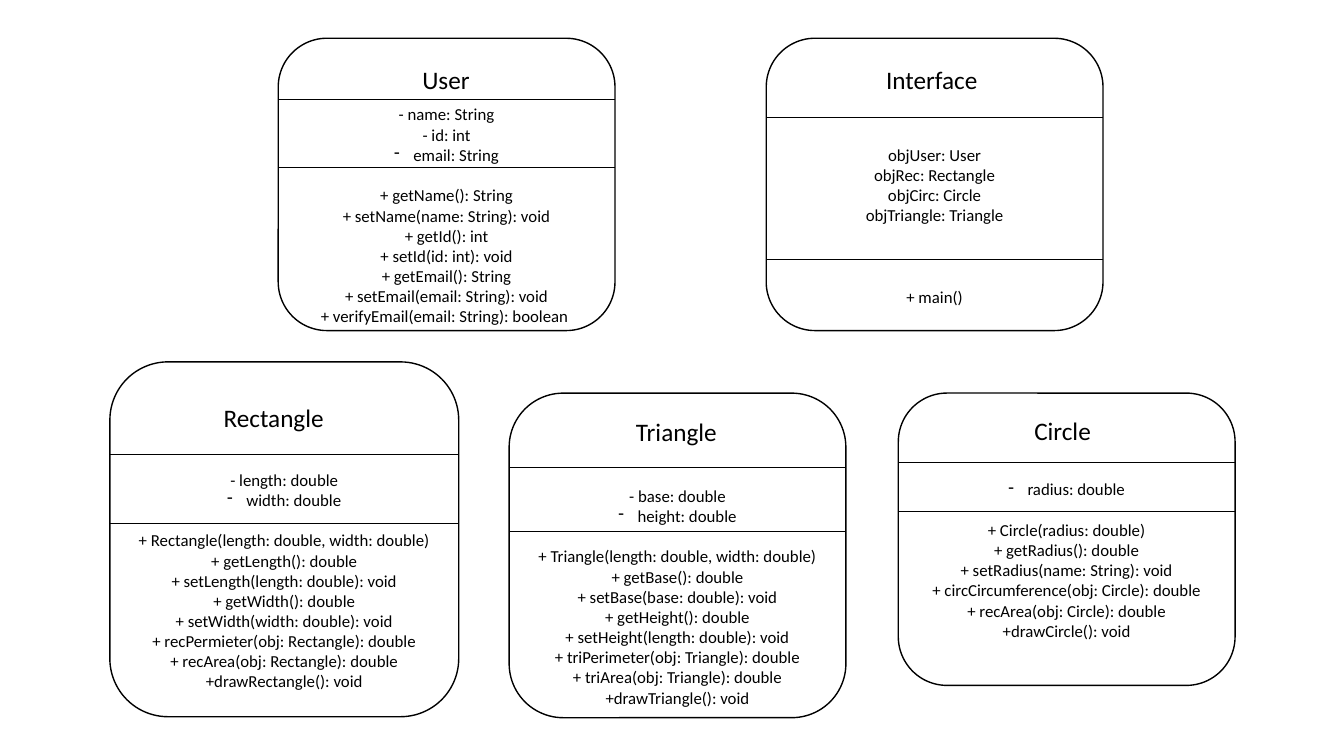
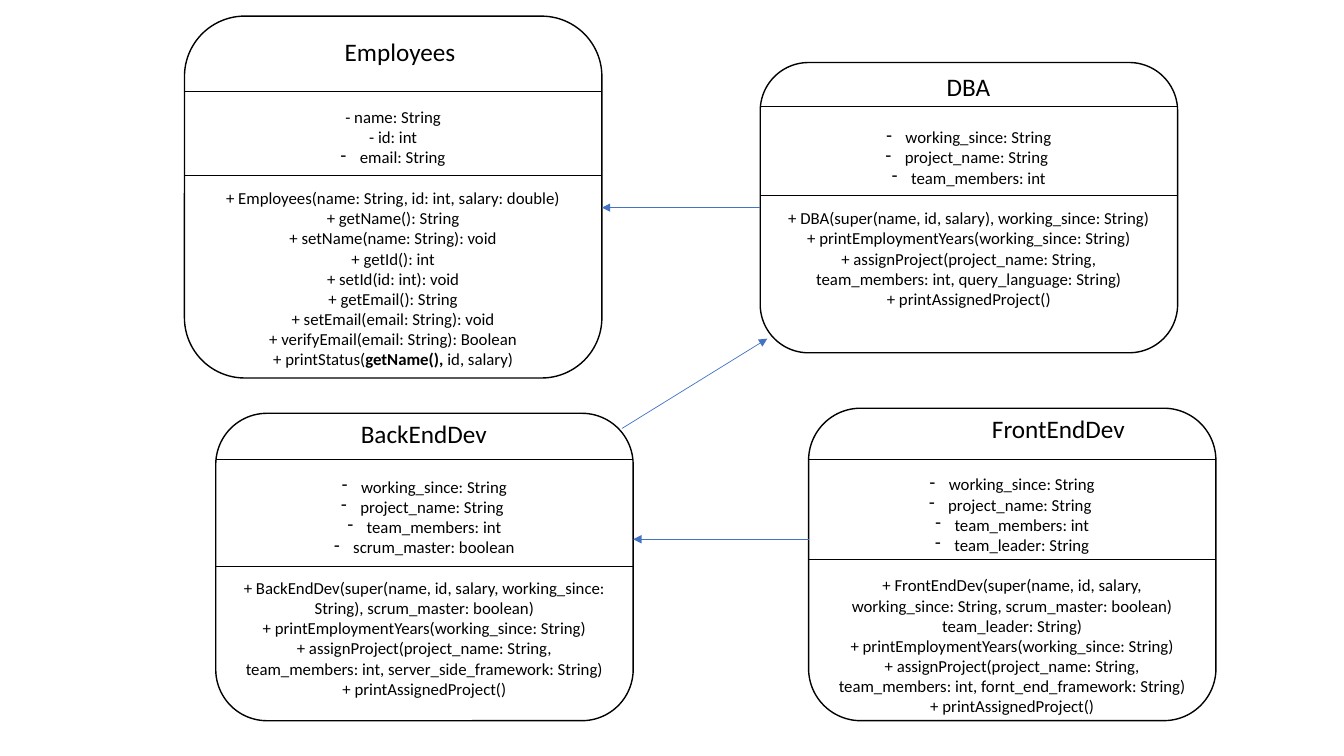
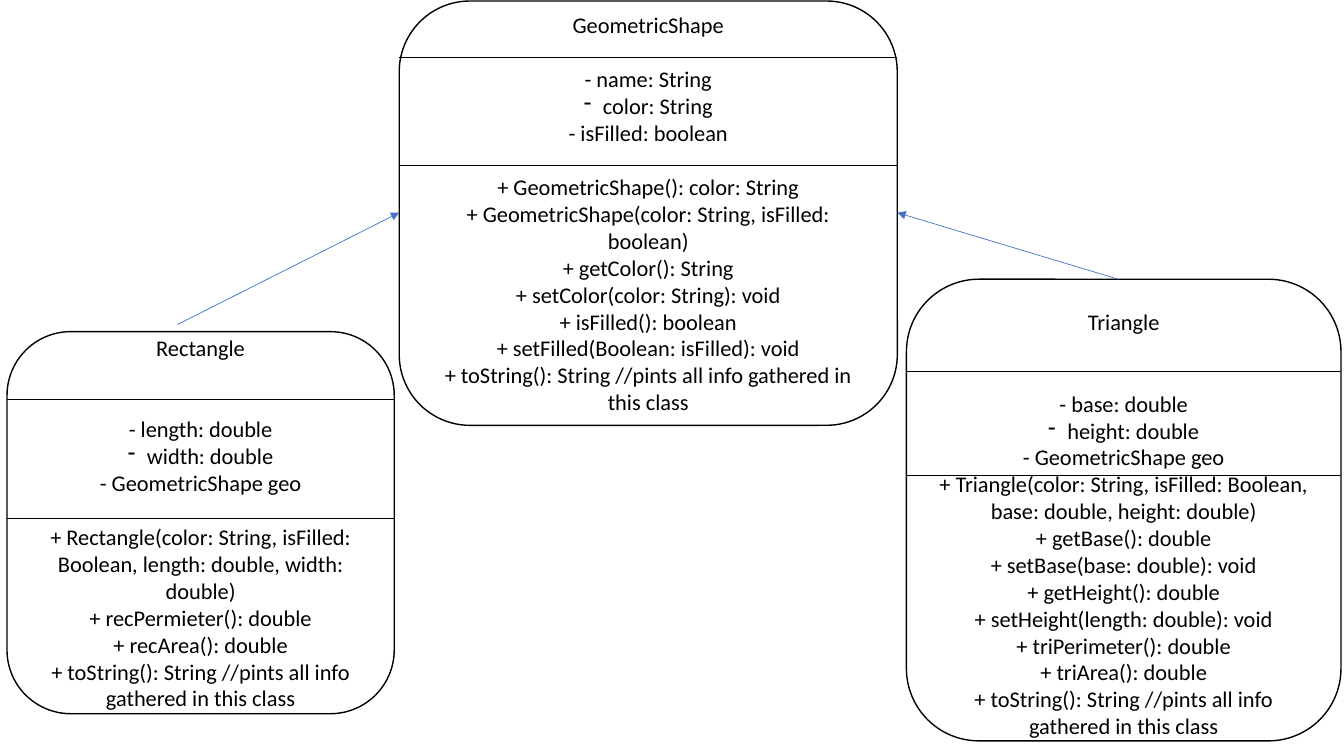
"""Builds three slides of UML class diagrams."""
from lxml import etree
from pptx import Presentation
from pptx.dml.color import RGBColor
from pptx.enum.shapes import MSO_CONNECTOR as Connector, MSO_SHAPE as Preset
from pptx.enum.text import MSO_ANCHOR as Anchor, PP_ALIGN as Align
from pptx.oxml.ns import qn
from pptx.util import Inches, Pt

LINE_HEIGHT = 1.22  # height of a text line relative to its font size
BULLET = "* "
BOLD = "**"


def color(value):
    """Return the colour for a hex string."""
    return RGBColor.from_string(value)


def add_text(para, text, size=12, align=Align.CENTER, before=0):
    """Fill a paragraph; BULLET starts a dash item and BOLD marks bold parts."""
    para.alignment = align
    para.space_before = Pt(before)
    if text.startswith(BULLET):
        text = text.removeprefix(BULLET)
        props = para._p.get_or_add_pPr()
        props.set("marL", str(Inches(0.19)))
        props.set("indent", str(-Inches(0.19)))
        etree.SubElement(props, qn("a:buFontTx"))
        etree.SubElement(props, qn("a:buChar"), char="-")
    for index, part in enumerate(text.split(BOLD)):
        span = para.add_run()
        span.text = part
        span.font.name = Diagram.FONT
        span.font.size = Pt(size)
        span.font.bold = index % 2 == 1
        span.font.color.rgb = color(Diagram.INK)


class Diagram:
    """Holds the shared style and the slide being drawn."""

    FONT = "Calibri"
    INK = "000000"
    ARROW = "4472C4"

    def __init__(self):
        """Start a widescreen deck."""
        self.deck = Presentation()
        self.deck.slide_width = Inches(13.33)
        self.deck.slide_height = Inches(7.5)
        self.page = None

    def new_page(self):
        """Add a blank slide and make it current."""
        self.page = self.deck.slides.add_slide(self.deck.slide_layouts[6])

    def line(self, start, end, ink=INK, arrow=False):
        """Draw a thin straight line, with an arrowhead at its end if asked."""
        ends = [Inches(value) for value in (*start, *end)]
        link = self.page.shapes.add_connector(Connector.STRAIGHT, *ends)
        link.line.color.rgb = color(ink)
        link.line.width = Pt(0.5)
        if arrow:
            etree.SubElement(link.line._get_or_add_ln(), qn("a:tailEnd"), type="triangle")
        etree.SubElement(link._element.spPr, qn("a:effectLst"))

    def arrow(self, start, end):
        """Draw an arrow between two classes."""
        self.line(start, end, ink=self.ARROW, arrow=True)

    def title(self, text, left, top, width, height=0.4):
        """Write a class name."""
        box = self.page.shapes.add_textbox(
            Inches(left), Inches(top), Inches(width), Inches(height))
        box.text_frame.word_wrap = True
        add_text(box.text_frame.paragraphs[0], text, size=18, align=Align.LEFT)

    def class_box(self, place, dividers, sections, gaps, below=0, size=12):
        """Draw a class; gaps and below count the free lines around sections."""
        left, top, width, height = place
        box = self.page.shapes.add_shape(
            Preset.ROUNDED_RECTANGLE, *[Inches(value) for value in place])
        box.shadow.inherit = False
        box.fill.background()
        box.line.color.rgb = color(self.INK)
        box.line.width = Pt(1)
        frame = box.text_frame
        frame.word_wrap = True
        frame.vertical_anchor = Anchor.MIDDLE
        step = size * LINE_HEIGHT
        frame.margin_top = Inches(0.05) + Pt(gaps[0] * step)
        frame.margin_bottom = Inches(0.05) + Pt(below * step)
        para = frame.paragraphs[0]
        for number, (section, gap) in enumerate(zip(sections, gaps)):
            for row, text in enumerate(section):
                first = number == row == 0
                if not first:
                    para = frame.add_paragraph()
                before = 0 if first or row else gap * step
                add_text(para, text, size=size, before=before)
        for level in dividers:
            self.line((left, level), (left + width, level))


def draw_shapes_app(diagram):
    """Draw the user, interface and shape classes."""
    diagram.new_page()
    diagram.class_box((2.76, 0.38, 3.34, 2.9), (0.99, 1.66), [
        ["- name: String", "- id: int", "* email: String"],
        ["+ getName(): String", "+ setName(name: String): void",
         "+ getId(): int", "+ setId(id: int): void",
         "+ getEmail(): String", "+ setEmail(email: String): void",
         "+ verifyEmail(email: String): boolean "],
    ], gaps=(3, 1))
    diagram.class_box((1.09, 3.59, 3.46, 3.52), (4.51, 5.19), [
        ["- length: double", "* width: double"],
        ["+ Rectangle(length: double, width: double)",
         "+ getLength(): double", "+ setLength(length: double): void",
         "+ getWidth(): double", "+ setWidth(width: double): void",
         "+ recPermieter(obj: Rectangle): double",
         "+ recArea(obj: Rectangle): double", "+drawRectangle(): void"],
    ], gaps=(4, 1))
    diagram.class_box((8.91, 3.9, 3.34, 2.9), (4.59, 5.07), [
        ["* radius: double"],
        ["+ Circle(radius: double)", "+ getRadius(): double",
         "+ setRadius(name: String): void",
         "+ circCircumference(obj: Circle): double",
         "+ recArea(obj: Circle): double", "+drawCircle(): void"],
    ], gaps=(2, 1))
    diagram.class_box((5.05, 3.9, 3.34, 3.22), (4.64, 5.27), [
        ["- base: double", "* height: double"],
        ["+ Triangle(length: double, width: double)",
         "+ getBase(): double", "+ setBase(base: double): void",
         "+ getHeight(): double", "+ setHeight(length: double): void",
         "+ triPerimeter(obj: Triangle): double",
         "+ triArea(obj: Triangle): double", "+drawTriangle(): void"],
    ], gaps=(4, 1))
    diagram.class_box((7.6, 0.38, 3.34, 2.9), (1.16, 2.57), [
        ["objUser: User", "objRec: Rectangle", "objCirc: Circle",
         "objTriangle: Triangle"],
        ["+ main()"],
    ], gaps=(4, 3))
    diagram.title("Interface", 8.69, 0.59, 1.15)
    diagram.title("User", 4.09, 0.59, 0.67)
    diagram.title("Rectangle", 2.12, 3.94, 1.27)
    diagram.title("Triangle", 6.21, 4.08, 1.03)
    diagram.title("Circle", 10.16, 4.07, 0.84)


def draw_staff(diagram):
    """Draw the employee classes and their inheritance."""
    diagram.new_page()
    project = ["* working_since: String", "* project_name: String ",
               "* team_members: int"]
    years = "+ printEmploymentYears(working_since: String)"
    assign = "+ assignProject(project_name: String, team_members: int, {}: String)"
    assigned = "+ printAssignedProject()"
    diagram.class_box((7.54, 0.62, 4.14, 2.88), (1.06, 1.94), [
        project,
        ["+ DBA(super(name, id, salary), working_since: String)",
         years, assign.format("query_language"), assigned],
    ], gaps=(2, 1), below=1)
    diagram.class_box((1.83, 0.16, 4.14, 3.59), (0.91, 1.74), [
        ["- name: String", "- id: int", "* email: String"],
        ["+ Employees(name: String, id: int, salary: double)",
         "+ getName(): String", "+ setName(name: String): void",
         "+ getId(): int", "+ setId(id: int): void",
         "+ getEmail(): String", "+ setEmail(email: String): void",
         "+ verifyEmail(email: String): Boolean",
         "+ printStatus(**getName(), **id, salary)"],
    ], gaps=(4, 1))
    diagram.class_box((2.14, 4.1, 4.14, 3.05), (4.56, 5.62), [
        [*project, "* scrum_master: boolean"],
        ["+ BackEndDev(super(name, id, salary, working_since: String), "
         "scrum_master: boolean)",
         years, assign.format("server_side_framework"), assigned],
    ], gaps=(2, 1))
    diagram.class_box((8.02, 4.05, 4.04, 3.1), (4.56, 5.55), [
        [*project, "* team_leader: String"],
        ["+ FrontEndDev(super(name, id, salary, working_since: String, "
         "scrum_master: boolean) team_leader: String)",
         years, assign.format("fornt_end_framework"), assigned],
    ], gaps=(3, 1))
    diagram.title("DBA", 9.29, 0.66, 0.75)
    diagram.title("Employees", 3.32, 0.31, 1.79)
    diagram.title("BackEndDev", 3.48, 4.1, 1.6, height=0.35)
    diagram.title("FrontEndDev", 9.74, 4.05, 1.59)
    diagram.arrow((7.54, 2.06), (5.97, 2.06))
    diagram.arrow((6.17, 4.25), (7.61, 3.36))
    diagram.arrow((8.02, 5.35), (6.28, 5.35))


def draw_geometry(diagram):
    """Draw the geometric shape class and its two subclasses."""
    diagram.new_page()
    describe = "+ toString(): String //pints all info gathered in this class"
    parent = "- GeometricShape geo"
    diagram.class_box((0.07, 3.29, 3.84, 3.79), (3.96, 5.14), [
        ["Rectangle"],
        ["- length: double", "* width: double", parent],
        ["+ Rectangle(color: String, isFilled: Boolean, length: double, "
         "width: double)",
         "+ recPermieter(): double", "+ recArea(): double", describe],
    ], gaps=(1, 2, 1), below=1, size=16)
    diagram.class_box((3.96, 0.01, 4.94, 4.21), (0.57, 1.64), [
        ["GeometricShape"],
        ["- name: String", "* color: String", "- isFilled: boolean"],
        ["+ GeometricShape(): color: String",
         "+ GeometricShape(color: String, isFilled: boolean)",
         "+ getColor(): String", "+ setColor(color: String): void",
         "+ isFilled(): boolean", "+ setFilled(Boolean: isFilled): void",
         describe],
    ], gaps=(0, 1, 1), size=16)
    diagram.class_box((8.99, 2.77, 4.31, 4.58), (3.68, 4.72), [
        ["Triangle"],
        ["- base: double", "* height: double", parent],
        ["+ Triangle(color: String, isFilled: Boolean, base: double, "
         "height: double)",
         "+ getBase(): double", "+ setBase(base: double): void",
         "+ getHeight(): double", "+ setHeight(length: double): void",
         "+ triPerimeter(): double", "+ triArea(): double", describe],
    ], gaps=(2, 2, 0), below=1, size=16)
    diagram.arrow((1.76, 3.22), (3.96, 2.11))
    diagram.arrow((11.09, 2.77), (8.9, 2.11))


diagram = Diagram()
draw_shapes_app(diagram)
draw_staff(diagram)
draw_geometry(diagram)
diagram.deck.save("out.pptx")
